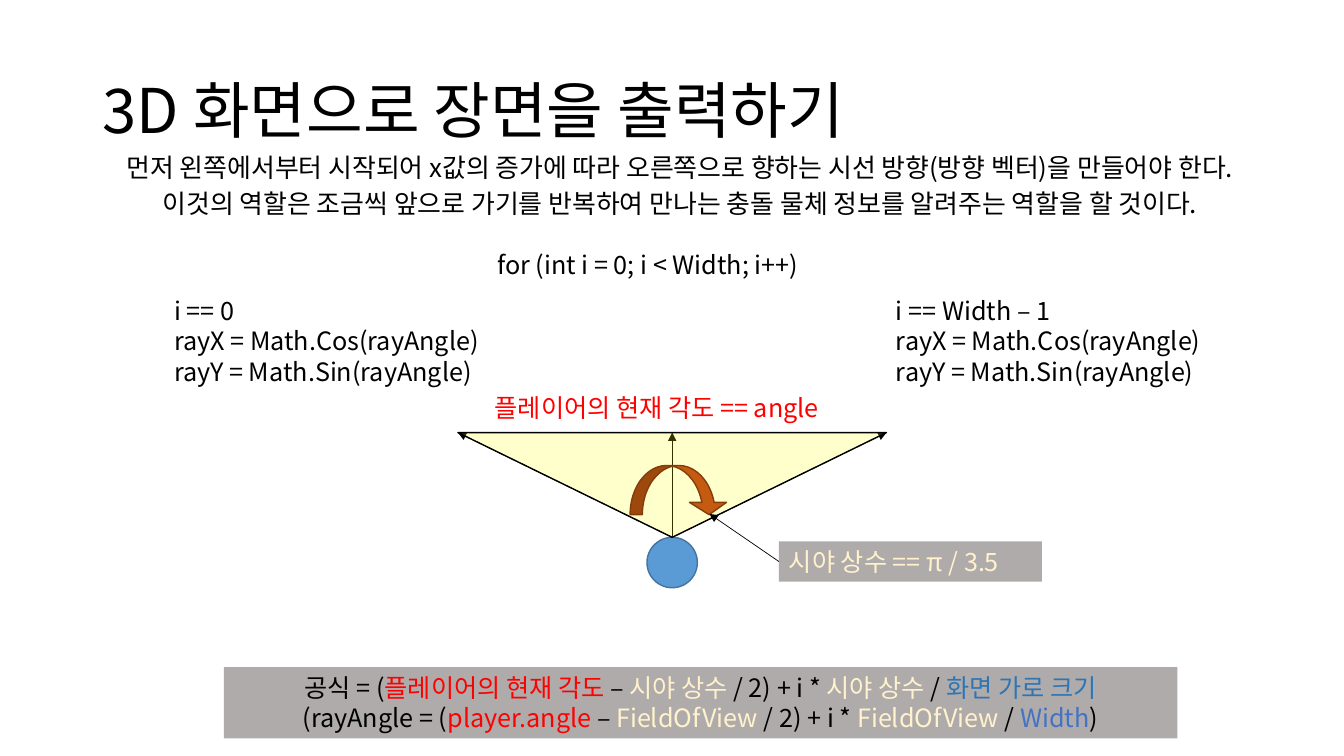
"""Build a slide explaining how view rays are cast to draw a 3D scene."""
from dataclasses import dataclass
from typing import Optional

from lxml import etree
from pptx import Presentation
from pptx.dml.color import RGBColor
from pptx.enum.shapes import MSO_CONNECTOR, MSO_SHAPE
from pptx.enum.text import MSO_ANCHOR, MSO_AUTO_SIZE, PP_ALIGN
from pptx.oxml.ns import qn
from pptx.util import Cm, Pt

STRAIGHT = MSO_CONNECTOR.STRAIGHT
OVAL = MSO_SHAPE.OVAL
TRIANGLE = MSO_SHAPE.ISOSCELES_TRIANGLE
CURVED_ARROW = MSO_SHAPE.CURVED_DOWN_ARROW
TOP, MIDDLE = MSO_ANCHOR.TOP, MSO_ANCHOR.MIDDLE
FIT_SHAPE, FIXED = MSO_AUTO_SIZE.SHAPE_TO_FIT_TEXT, MSO_AUTO_SIZE.NONE
LEFT, CENTER = PP_ALIGN.LEFT, PP_ALIGN.CENTER
LEFT_SIDE = 1

FONT = "Noto Sans CJK KR"
COLORS = {
    "black": "000000",
    "red": "FF0000",
    "cream": "FFF2CC",
    "gray": "AFABAB",
    "width_korean": "2E75B6",
    "width_code": "4472C4",
    "player": "5B9BD5",
    "player_edge": "43739E",
    "view": "FFFF00",
    "turn": "C55A11",
    "turn_edge": "843C0B",
}


@dataclass
class Span:
    text: str
    color: str = "black"


@dataclass
class Caption:
    area: tuple[float, float, float, float]
    paras: list[list[Span]]
    size: float = 18
    align: PP_ALIGN = LEFT
    fill: Optional[str] = None
    wrap: bool = False
    anchor: MSO_ANCHOR = TOP
    line_spacing: Optional[float] = None
    space_before: float = 0


@dataclass
class Figure:
    kind: MSO_SHAPE
    area: tuple[float, float, float, float]
    fill: str
    edge: str
    rotation: float = 0
    opacity: int = 100
    adjustments: tuple[float, ...] = ()


EYE_X, EYE_Y = 16.94, 13.54
VIEW_HALF, VIEW_DEPTH = 5.4, 2.64
VIEW_LEFT, VIEW_RIGHT = EYE_X - VIEW_HALF, EYE_X + VIEW_HALF
VIEW_TOP = EYE_Y - VIEW_DEPTH
PLAYER_SIZE = 1.27

RAY_LINES = [[Span("rayX = Math.Cos(rayAngle)")], [Span("rayY = Math.Sin(rayAngle)")]]

TITLE = Caption((2.34, 1.02, 29.21, 3.68), [[Span("3D 화면으로 장면을 출력하기")]],
                size=44, wrap=True, anchor=MIDDLE, line_spacing=0.9)
INTRO = Caption(
    (0.99, 3.91, 32.28, 1.85),
    [[Span("먼저 왼쪽에서부터 시작되어 x값의 증가에 따라 오른쪽으로 향하는 시선 방향(방향 벡터)을 만들어야 한다.")],
     [Span("이것의 역할은 조금씩 앞으로 가기를 반복하여 만나는 충돌 물체 정보를 알려주는 역할을 할 것이다.")]],
    size=18.5, align=CENTER, wrap=True, line_spacing=0.7, space_before=10)
FORMULA = Caption(
    (5.64, 16.81, 24.03, 1.8),
    [[Span("공식 = ("), Span("플레이어의 현재 각도", "red"), Span(" – "),
      Span("시야 상수 ", "cream"), Span("/ 2) + i * "), Span("시야 상수 ", "cream"),
      Span("/ "), Span("화면 가로 크기", "width_korean")],
     [Span("(rayAngle = ("), Span("player.angle", "red"), Span(" – "),
      Span("FieldOfView", "cream"), Span(" / 2) + i * "), Span("FieldOfView", "cream"),
      Span(" / "), Span("Width", "width_code"), Span(")")]],
    align=CENTER, fill="gray")
LABELS = [
    Caption((12.14, 6.17, 9.17, 1.02), [[Span(" for (int i = 0; i < Width; i++)")]]),
    Caption((12.22, 9.75, 9.68, 1.02), [[Span("플레이어의 현재 각도 == angle", "red")]]),
    Caption((4.14, 7.32, 8.48, 2.57), [[Span("i == 0")], *RAY_LINES]),
    Caption((22.33, 7.32, 8.36, 2.57), [[Span("i == Width – 1")], *RAY_LINES]),
]
FIELD_OF_VIEW = Caption((19.63, 13.64, 6.63, 1.02),
                        [[Span("시야 상수 == π / 3.5", "cream")]], fill="gray")

PLAYER = Figure(OVAL, (EYE_X - PLAYER_SIZE / 2, EYE_Y, PLAYER_SIZE, PLAYER_SIZE),
                "player", "player_edge", rotation=270)
VIEW = Figure(TRIANGLE, (VIEW_LEFT, VIEW_TOP, 2 * VIEW_HALF, VIEW_DEPTH),
              "view", "black", rotation=180, opacity=20)
TURN = Figure(CURVED_ARROW, (15.88, 11.73, 2.46, 1.24), "turn", "turn_edge",
              adjustments=(0.25, 0.754, 0.25))


def color_of(name: str) -> RGBColor:
    return RGBColor.from_string(COLORS[name])


def add_caption(page, caption: Caption):
    box = page.shapes.add_textbox(*map(Cm, caption.area))
    if caption.fill:
        box.fill.solid()
        box.fill.fore_color.rgb = color_of(caption.fill)
    frame = box.text_frame
    frame.word_wrap = caption.wrap
    frame.auto_size = FIXED if caption.wrap else FIT_SHAPE
    frame.vertical_anchor = caption.anchor
    for index, spans in enumerate(caption.paras):
        para = frame.add_paragraph() if index else frame.paragraphs[0]
        para.alignment = caption.align
        para.line_spacing = caption.line_spacing
        para.space_before = Pt(caption.space_before)
        for span in spans:
            run = para.add_run()
            run.text = span.text
            run.font.size = Pt(caption.size)
            run.font.name = FONT
            run.font.color.rgb = color_of(span.color)
            etree.SubElement(run.font._element, qn("a:ea"), typeface=FONT)
    return box


def add_figure(page, figure: Figure) -> None:
    shape = page.shapes.add_shape(figure.kind, *map(Cm, figure.area))
    shape.shadow.inherit = False
    shape.rotation = figure.rotation
    for index, value in enumerate(figure.adjustments):
        shape.adjustments[index] = value
    shape.fill.solid()
    shape.fill.fore_color.rgb = color_of(figure.fill)
    if figure.opacity < 100:
        tint = shape._element.spPr.find(qn("a:solidFill"))[0]
        etree.SubElement(tint, qn("a:alpha"), val=str(figure.opacity * 1000))
    shape.line.color.rgb = color_of(figure.edge)
    shape.line.width = Pt(1)


def add_arrow(page, start: tuple[float, float], end: tuple[float, float]):
    arrow = page.shapes.add_connector(STRAIGHT, *map(Cm, start + end))
    arrow.line.color.rgb = color_of("black")
    arrow.line.width = Pt(0.5)
    etree.SubElement(arrow.line._get_or_add_ln(), qn("a:tailEnd"), type="triangle")
    etree.SubElement(arrow._element.spPr, qn("a:effectLst"))
    return arrow


def main() -> None:
    deck = Presentation()
    deck.slide_width, deck.slide_height = Cm(33.87), Cm(19.05)
    page = deck.slides.add_slide(deck.slide_layouts[6])

    add_caption(page, TITLE)
    add_caption(page, INTRO)
    add_figure(page, PLAYER)
    add_caption(page, FORMULA)
    for ray_x in (VIEW_LEFT, VIEW_RIGHT, EYE_X):
        add_arrow(page, (EYE_X, EYE_Y), (ray_x, VIEW_TOP))
    for label in LABELS:
        add_caption(page, label)
    view_box = add_caption(page, FIELD_OF_VIEW)
    add_figure(page, VIEW)
    add_figure(page, TURN)
    pointer = add_arrow(page, (19.63, 14.15), (17.88, 12.95))
    pointer.begin_connect(view_box, LEFT_SIDE)

    deck.save("out.pptx")


if __name__ == "__main__":
    main()
